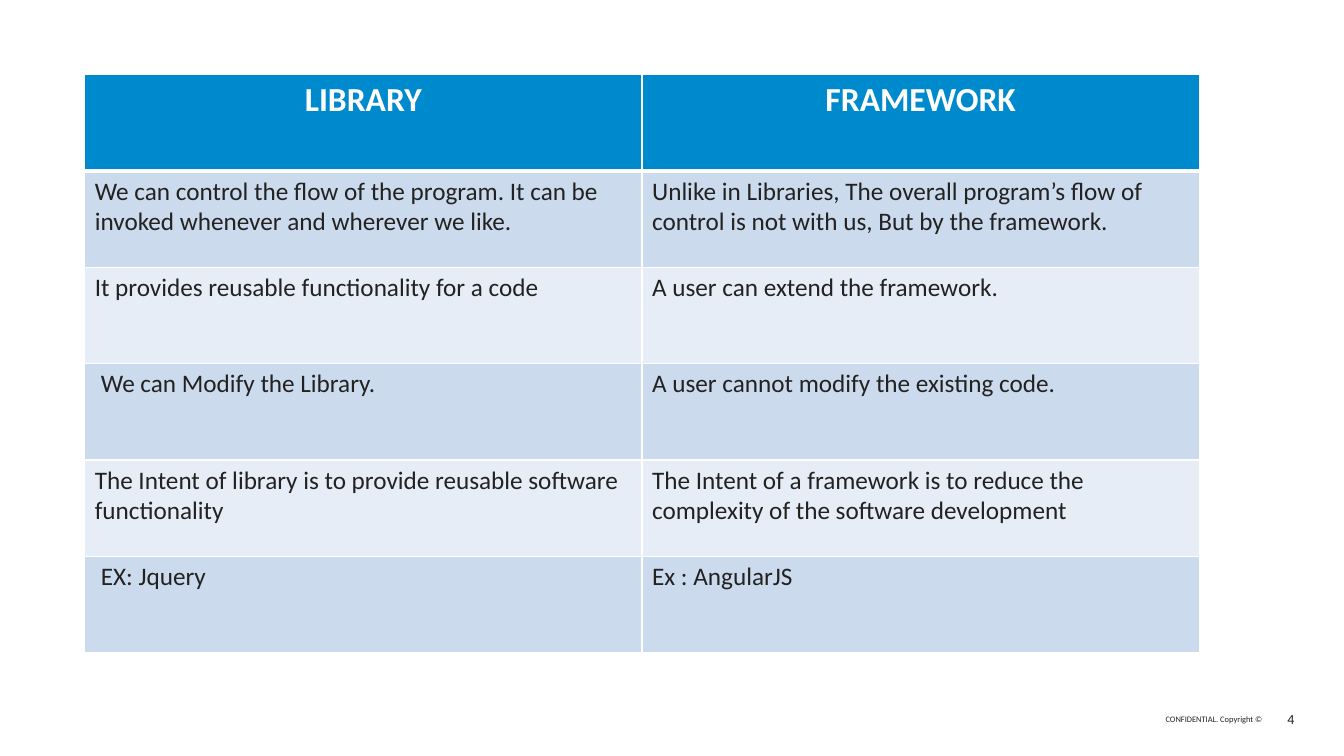
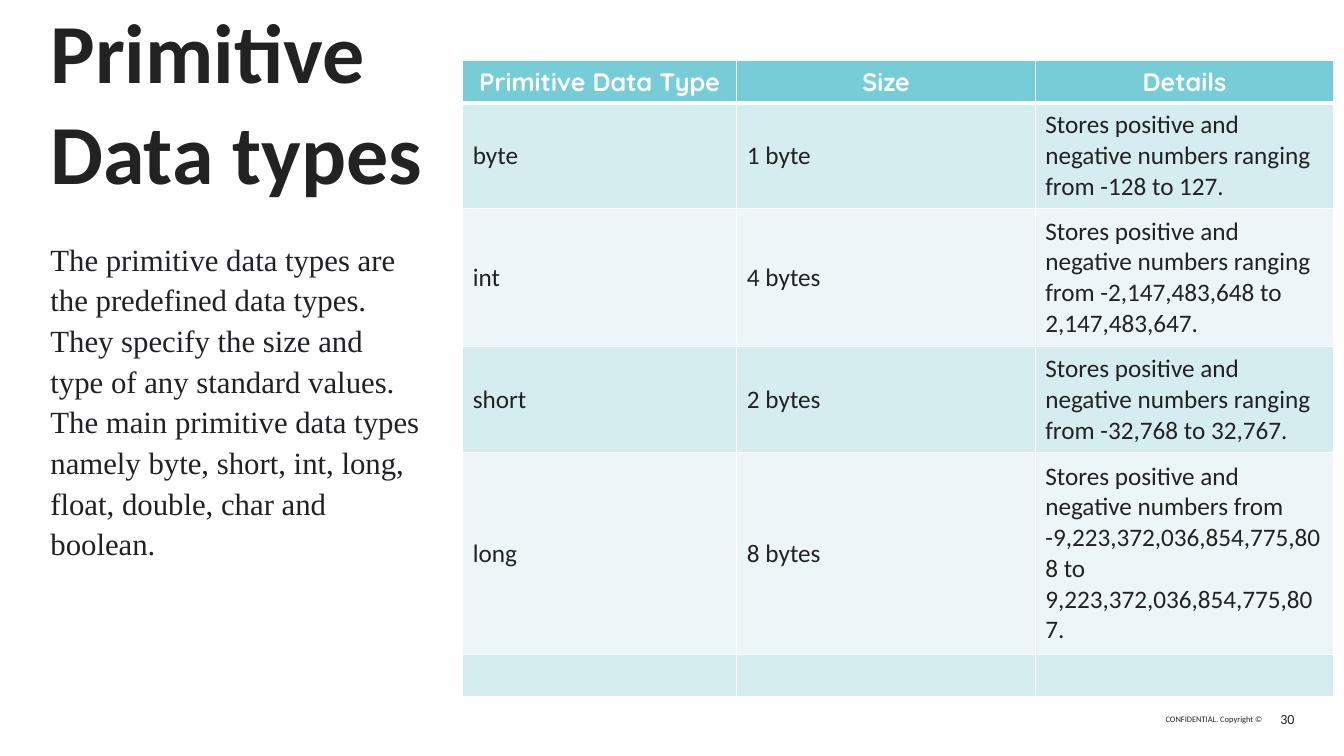
from lxml.etree import SubElement
from pptx import Presentation
from pptx.dml.color import RGBColor
from pptx.enum.text import MSO_ANCHOR, MSO_AUTO_SIZE, PP_ALIGN
from pptx.oxml.ns import qn
from pptx.util import Emu, Inches, Pt

WIDTH, HEIGHT = Inches(13.333), Inches(7.5)

# Shared look
FONT = "Calibri"
INK = "222222"
WHITE = "FFFFFF"
BLUE_BANDS = ("008ACE", "CCDAED", "E7EDF6")
TEAL_BANDS = ("76CDD8", "D6EDF0", "ECF6F8")

COMPARISON = [
    ("LIBRARY", "FRAMEWORK"),
    ("We can control the flow of the program. It can be invoked whenever and wherever we like.",
     "Unlike in Libraries, The overall program’s flow of control is not with us, But by the framework."),
    ("It provides reusable functionality for a code", "A user can extend the framework."),
    ("We can Modify the Library.", "A user cannot modify the existing code."),
    ("The Intent of library is to provide reusable software functionality",
     "The Intent of a framework is to reduce the complexity of the software development"),
    ("EX: Jquery", "Ex : AngularJS"),
]
PRIMITIVES = [
    ("Primitive Data Type", "Size", "Details"),
    ("byte", "1 byte", "Stores positive and negative numbers ranging from -128 to 127."),
    ("int", "4 bytes",
     "Stores positive and negative numbers ranging from -2,147,483,648 to 2,147,483,647."),
    ("short", "2 bytes", "Stores positive and negative numbers ranging from -32,768 to 32,767."),
    ("long", "8 bytes",
     "Stores positive and negative numbers from -9,223,372,036,854,775,808 to "
     "9,223,372,036,854,775,807."),
    ("", "", ""),
]
PRIMITIVES_INTRO = (
    "The primitive data types are the predefined data types. They specify the size and type of "
    "any standard values. The main primitive data types namely byte, short, int, long, float, "
    "double, char and boolean."
)


def color(hex_string):
    return RGBColor.from_string(hex_string)


# Lengths are percentages of the slide
def across(percent):
    return Emu(round(WIDTH * percent / 100))


def down(percent):
    return Emu(round(HEIGHT * percent / 100))


def write(frame, text, size=18, font=FONT, ink=INK, bold=False,
          align=PP_ALIGN.LEFT, line_spacing=None):
    paragraph = frame.paragraphs[0]
    paragraph.alignment = align
    if line_spacing:
        paragraph.line_spacing = line_spacing
    letters = paragraph.font
    if text:
        run = paragraph.add_run()
        run.text = text
        letters = run.font
    letters.size, letters.name, letters.bold = Pt(size), font, bold
    letters.color.rgb = color(ink)


def add_text(slide, text, left, top, width, height, anchor=MSO_ANCHOR.TOP, grow=False, **style):
    box = slide.shapes.add_textbox(across(left), down(top), across(width), down(height))
    frame = box.text_frame
    frame.word_wrap = True
    frame.vertical_anchor = anchor
    frame.margin_left = frame.margin_right = frame.margin_top = frame.margin_bottom = 0
    if grow:
        frame.auto_size = MSO_AUTO_SIZE.SHAPE_TO_FIT_TEXT
    write(frame, text, **style)


def add_borders(cell, top, bottom):
    properties = cell._tc.get_or_add_tcPr()
    for side, points in (("L", 1), ("R", 1), ("T", top), ("B", bottom)):
        line = SubElement(properties, qn(f"a:ln{side}"), w=str(Pt(points)))
        fill = SubElement(line, qn("a:solidFill"))
        SubElement(fill, qn("a:srgbClr"), val=WHITE)


def add_banded_table(slide, content, left, top, columns, rows, bands,
                     header_style, anchor, indents=None):
    """Header row in the first band colour, body rows alternating the other two."""
    table = slide.shapes.add_table(
        len(rows), len(columns), across(left), down(top),
        across(sum(columns)), down(sum(rows))).table
    for column, width in zip(table.columns, columns):
        column.width = across(width)
    for number, (row, height, texts) in enumerate(zip(table.rows, rows, content)):
        row.height = down(height)
        header = number == 0
        style = header_style if header else {}
        band = bands[0] if header else bands[2 - number % 2]
        for place, (cell, text) in enumerate(zip(row.cells, texts)):
            add_borders(cell, top=3 if number == 1 else 1, bottom=3 if header else 1)
            cell.fill.solid()
            cell.fill.fore_color.rgb = color(band)
            cell.vertical_anchor = anchor
            cell.margin_left = Inches(0.1 + (indents or {}).get((number, place), 0))
            write(cell.text_frame, text, **style)


def add_page(deck, number):
    slide = deck.slides.add_slide(deck.slide_layouts[6])
    slide.background.fill.solid()
    slide.background.fill.fore_color.rgb = color(WHITE)
    # Footer
    for text, left, width, size in (("CONFIDENTIAL. Copyright ©", 86.18, 7.73, 6),
                                    (str(number), 94.28, 2.03, 10)):
        add_text(slide, text, left, 93.47, width, 3.2, anchor=MSO_ANCHOR.MIDDLE,
                 size=size, align=PP_ALIGN.RIGHT)
    return slide


def build_comparison(deck):
    slide = add_page(deck, 4)
    header = dict(size=24, ink=WHITE, bold=True, align=PP_ALIGN.CENTER)
    add_banded_table(slide, COMPARISON, 6.3, 9.87, [41.47] * 2, [12.75] * 6, BLUE_BANDS,
                     header, MSO_ANCHOR.TOP, indents={(3, 0): 0.06, (5, 0): 0.06})


def build_primitives(deck):
    slide = add_page(deck, 30)
    # Title and introduction
    add_text(slide, "Primitive Data types", 3.75, 0, 34.28, 9.47, grow=True, size=60, bold=True)
    add_text(slide, PRIMITIVES_INTRO, 3.75, 31.33, 27.6, 55.73,
             size=22, font="Times New Roman", ink="202124", line_spacing=1.1)
    # Type table
    header = dict(font="Quicksand", ink=WHITE, bold=True, align=PP_ALIGN.CENTER)
    add_banded_table(slide, PRIMITIVES, 34.43, 8, [20.4, 22.2, 22.2],
                     [5.6, 14, 18.27, 14, 26.67, 5.6], TEAL_BANDS, header, MSO_ANCHOR.MIDDLE)


def main():
    deck = Presentation()
    deck.slide_width, deck.slide_height = WIDTH, HEIGHT
    build_comparison(deck)
    build_primitives(deck)
    deck.save("out.pptx")


if __name__ == "__main__":
    main()
